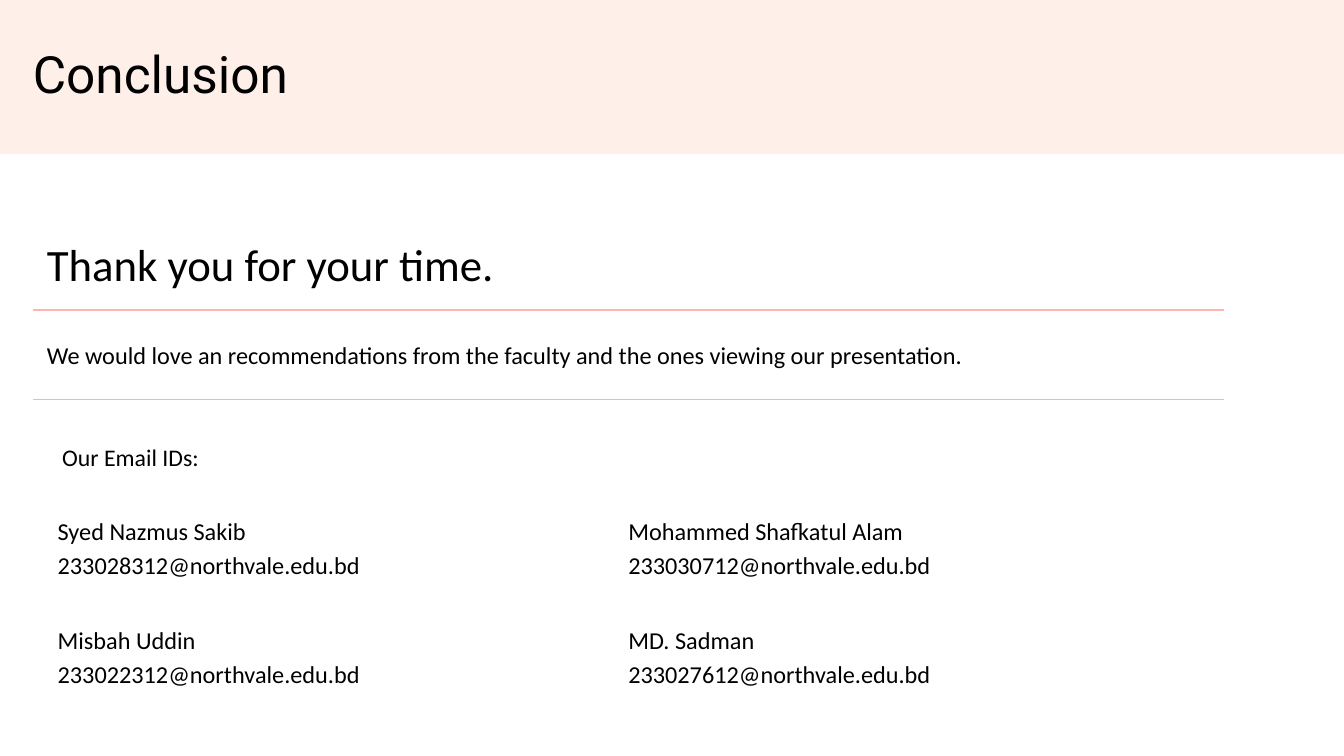
from pptx import Presentation
from pptx.dml.color import RGBColor
from pptx.enum.shapes import MSO_SHAPE
from pptx.enum.text import MSO_ANCHOR, PP_ALIGN
from pptx.oxml import parse_xml
from pptx.oxml.ns import nsdecls
from pptx.util import Cm, Pt

COLORS = {"ink": "000000", "band": "FEEFE8", "rule": "FFB4AD", "grey": "C8C8C8"}


def write(frame, text, size=26, lead=36.4, font="Calibri", align=PP_ALIGN.LEFT,
          anchor=MSO_ANCHOR.TOP):
    """Fill a text frame, one paragraph per line of text."""
    frame.word_wrap = True
    frame.vertical_anchor = anchor
    frame.text = text
    for par in frame.paragraphs:
        par.alignment = align
        par.line_spacing = Pt(lead)
        par.space_before = par.space_after = Pt(0)
        face = par.runs[0].font
        face.name, face.size, face.bold = font, Pt(size), False
        face.color.rgb = RGBColor.from_string(COLORS["ink"])


def inset(item, gap):
    item.margin_left = item.margin_top = Cm(gap)
    item.margin_right = item.margin_bottom = Cm(gap)


class Page:
    def __init__(self, slide):
        self.slide = slide
        self.shapes = slide.shapes

    def title(self, text, x, y, w, h, **style):
        box = self.shapes.title
        box.left, box.top, box.width, box.height = Cm(x), Cm(y), Cm(w), Cm(h)
        inset(box.text_frame, 0)
        write(box.text_frame, text, **style)

    def band(self, x, y, w, h, color):
        box = self.shapes.add_shape(MSO_SHAPE.RECTANGLE, Cm(x), Cm(y), Cm(w), Cm(h))
        box.shadow.inherit = False
        box.fill.solid()
        box.fill.fore_color.rgb = RGBColor.from_string(COLORS[color])
        box.line.fill.background()
        # Send behind the title
        self.shapes._spTree.insert(2, box._element)

    def text(self, text, x, y, w, h, **style):
        box = self.shapes.add_textbox(Cm(x), Cm(y), Cm(w), Cm(h))
        inset(box.text_frame, 0)
        write(box.text_frame, text, **style)

    def edge(self, cell, side, color=None, width=0):
        fill = "<a:noFill/>"
        if color:
            fill = f'<a:solidFill><a:srgbClr val="{COLORS[color]}"/></a:solidFill>'
        cell._tc.get_or_add_tcPr().append(parse_xml(
            f'<a:ln{side} {nsdecls("a")} w="{Pt(width)}">{fill}</a:ln{side}>'))

    def table(self, rows, x, y, w):
        total = sum(row["height"] for row in rows)
        grid = self.shapes.add_table(len(rows), 1, Cm(x), Cm(y), Cm(w), Cm(total)).table
        grid.first_row = grid.horz_banding = False
        for i, row in enumerate(rows):
            grid.rows[i].height = Cm(row["height"])
            cell = grid.cell(i, 0)
            inset(cell, 0.53)
            cell.vertical_anchor = MSO_ANCHOR.MIDDLE
            write(cell.text_frame, row["text"], **row["style"])
            for side in "LRTB":
                self.edge(cell, side, *row["edges"].get(side, ()))
            cell.fill.background()


def main():
    deck = Presentation()
    deck.slide_width, deck.slide_height = Cm(50.8), Cm(28.58)
    page = Page(deck.slides.add_slide(deck.slide_layouts[5]))

    # Header
    page.band(0, 0, 50.8, 5.82, "band")
    page.title("Conclusion", 1.24, 1.8, 11.48, 2.18, size=55, lead=60.5, font="Roboto")

    # Closing words
    rule = ("rule", 2.25)
    page.table([
        {"text": "Thank you for your time.", "height": 3.61,
         "style": {"size": 48, "lead": 67.2}, "edges": {"B": rule}},
        {"text": "We would love an recommendations from the faculty "
                 "and the ones viewing our presentation.",
         "height": 3.38, "style": {}, "edges": {"T": rule, "B": ("grey", 1)}},
    ], 1.24, 8.1, 45.03)

    # Contacts in a two by two grid
    page.text("Our Email IDs:", 2.18, 16.56, 5.51, 1.19, size=25.5, lead=35.7,
              align=PP_ALIGN.CENTER)
    people = [("Syed Nazmus Sakib", "233028312"), ("Mohammed Shafkatul Alam", "233030712"),
              ("Misbah Uddin", "233022312"), ("MD. Sadman", "233027612")]
    for i, (name, code) in enumerate(people):
        row, col = divmod(i, 2)
        page.text(f"{name}\n{code}@northvale.edu.bd",
                  2.18 + col * 21.57, 19.35 + row * 4.12, 13.6, 2.51)

    deck.save("out.pptx")


if __name__ == "__main__":
    main()
